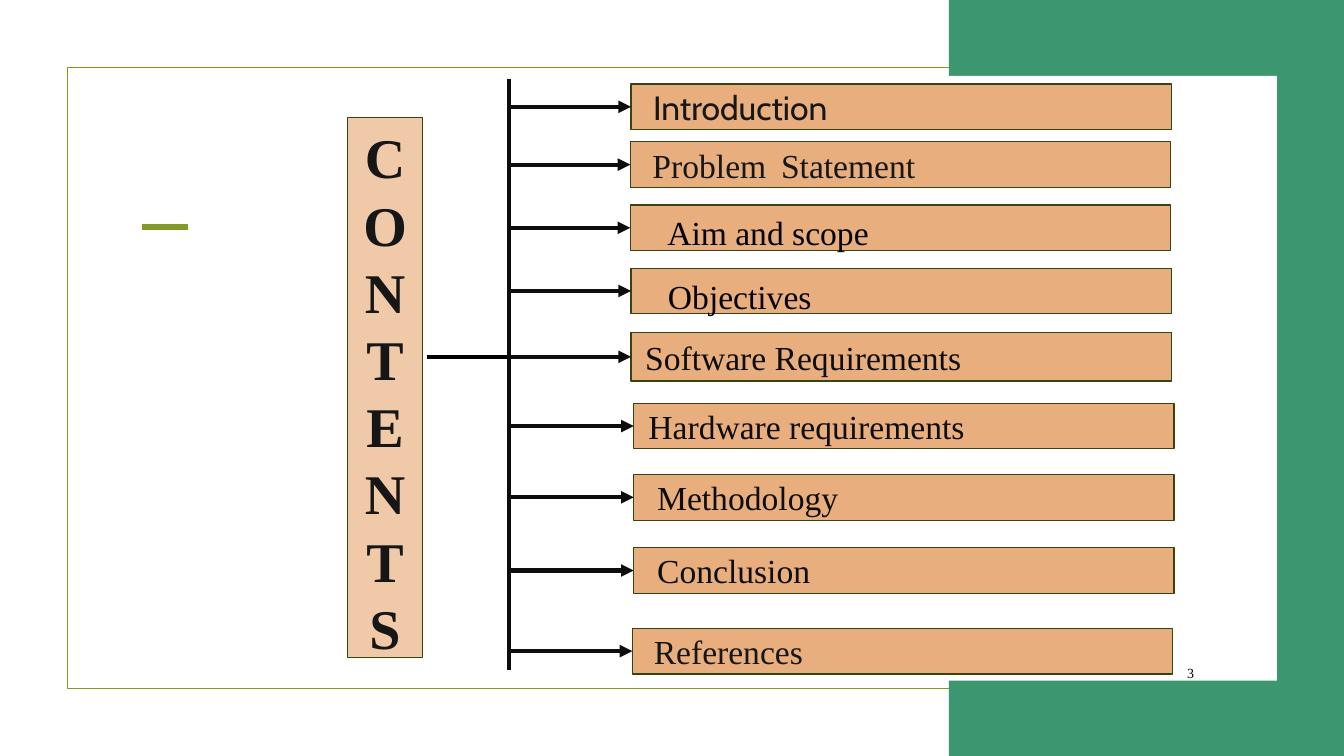
from dataclasses import dataclass

from lxml.etree import SubElement
from pptx import Presentation
from pptx.dml.color import RGBColor
from pptx.enum.shapes import MSO_CONNECTOR as Connector, MSO_SHAPE as Preset
from pptx.enum.text import MSO_ANCHOR as Anchor, MSO_AUTO_SIZE as AutoSize, PP_ALIGN as Align
from pptx.oxml.ns import qn
from pptx.util import Pt

PX = 9144
LEFT_SIDE = 1


@dataclass(frozen=True)
class Theme:
    serif: str = "Times New Roman"
    sans: str = "Cabin"
    green: str = "3C9770"
    olive: str = "83992A"
    outline: str = "394312"
    entry: str = "E8AE7E"
    banner: str = "F0C9A9"
    white: str = "FFFFFF"
    black: str = "000000"
    ink: str = "0D0D0D"
    soft: str = "161616"
    title_size: int = 60
    entry_size: int = 36
    number_size: int = 15
    hairline: float = 1.25
    stroke: float = 4.5
    dash: int = 7


class SlideBuilder:
    def __init__(self, page, theme):
        self.page = page
        self.theme = theme

    def paint(self, shape, fill=None, line=None):
        shape.shadow.inherit = False
        if fill:
            shape.fill.solid()
            shape.fill.fore_color.rgb = RGBColor.from_string(fill)
        else:
            shape.fill.background()
        if line:
            shape.line.color.rgb = RGBColor.from_string(line)
            shape.line.width = Pt(self.theme.hairline)
        else:
            shape.line.fill.background()

    def box(self, bounds, fill=None, line=None):
        shape = self.page.shapes.add_shape(Preset.RECTANGLE, *(v * PX for v in bounds))
        self.paint(shape, fill, line)
        return shape

    def frame(self, shape, inset, top=5, anchor=Anchor.MIDDLE):
        values = {
            "auto_size": AutoSize.NONE,
            "word_wrap": True,
            "vertical_anchor": anchor,
            "margin_left": inset * PX,
            "margin_right": 10 * PX,
            "margin_top": top * PX,
            "margin_bottom": 5 * PX,
        }
        for name, value in values.items():
            setattr(shape.text_frame, name, value)

    def add_span(self, para, text, size, color, font=None, bold=False, align=Align.LEFT, pitch=None):
        values = {"alignment": align, "line_spacing": Pt(pitch) if pitch else None}
        for name, value in values.items():
            setattr(para, name, value)
        span = para.add_run()
        span.text = text
        values = {"name": font or self.theme.serif, "size": Pt(size), "bold": bold}
        for name, value in values.items():
            setattr(span.font, name, value)
        span.font.color.rgb = RGBColor.from_string(color)
        return span

    def title(self, word, bounds):
        theme = self.theme
        shape = self.page.shapes.title
        for name, value in zip(("left", "top", "width", "height"), bounds):
            setattr(shape, name, value * PX)
        self.paint(shape, theme.banner, theme.outline)
        self.frame(shape, 10, top=8, anchor=Anchor.TOP)
        for index, letter in enumerate(word):
            text_frame = shape.text_frame
            para = text_frame.add_paragraph() if index else text_frame.paragraphs[0]
            self.add_span(para, letter, theme.title_size, theme.soft,
                          bold=True, align=Align.CENTER, pitch=72)
        shape.element.getparent().append(shape.element)

    def entry(self, words, bounds, inset, color, font=None, pitch=None, gap=0):
        shape = self.box(bounds, self.theme.entry, self.theme.outline)
        self.frame(shape, inset)
        para = shape.text_frame.paragraphs[0]
        pieces = words.partition(" ") if gap else [words]
        for piece in pieces:
            span = self.add_span(para, piece, self.theme.entry_size, color, font, pitch=pitch)
            if piece == " ":
                span.font._element.set("spc", str(gap))
        return shape

    def number(self, text, bounds):
        shape = self.page.shapes.add_textbox(*(v * PX for v in bounds))
        self.frame(shape, 10)
        self.add_span(shape.text_frame.paragraphs[0], text, self.theme.number_size,
                      self.theme.black, align=Align.RIGHT)

    def line(self, start, end, color, width, target=None):
        points = (v * PX for v in (*start, *end))
        link = self.page.shapes.add_connector(Connector.STRAIGHT, *points)
        link.line.color.rgb = RGBColor.from_string(color)
        link.line.width = Pt(width)
        if target is not None:
            SubElement(link.line._get_or_add_ln(), qn("a:tailEnd"), type="triangle")
            link.end_connect(target, LEFT_SIDE)
        SubElement(link.element.spPr, qn("a:effectLst"))


def main():
    theme = Theme()
    deck = Presentation()
    deck.slide_width, deck.slide_height = 2000 * PX, 1125 * PX
    page = deck.slides.add_slide(deck.slide_layouts[5])
    builder = SlideBuilder(page, theme)

    builder.box((100, 100, 1800, 925), line=theme.olive)
    builder.box((1412, 0, 588, 1125), theme.green)
    builder.box((732, 113, 1168, 900), theme.white)
    builder.line((212, 338), (280, 338), theme.olive, theme.dash)
    builder.number("3", (1698, 979, 89, 46))

    indented = {"color": theme.black, "pitch": 53.2}
    entries = [
        ("Introduction", 939, 125, 68, 33, {"color": theme.soft, "font": theme.sans}),
        ("Problem Statement", 938, 211, 68, 33, {"color": theme.soft, "gap": 675}),
        ("Aim and scope", 938, 305, 68, 55, indented),
        ("Objectives", 939, 399, 68, 55, indented),
        ("Software Requirements", 939, 495, 72, 21, {"color": theme.ink}),
        ("Hardware requirements", 943, 600, 68, 22, {"color": theme.ink}),
        ("Methodology", 943, 706, 68, 35, {"color": theme.ink}),
        ("Conclusion", 943, 815, 68, 35, {"color": theme.ink}),
        ("References", 941, 935, 68, 32, {"color": theme.soft}),
    ]
    boxes = [
        (builder.entry(words, (left, top, 804, height), inset, **style), left, top + height // 2)
        for words, left, top, height, inset, style in entries
    ]

    builder.title("CONTENTS", (517, 175, 112, 804))
    spine = 757
    builder.line((635, 531), (spine, 531), theme.black, theme.stroke)
    builder.line((spine, 118), (spine, 997), theme.ink, theme.stroke)
    for box, left, middle in boxes:
        builder.line((spine, middle), (left, middle), theme.ink, theme.stroke, target=box)

    deck.save("out.pptx")


if __name__ == "__main__":
    main()
